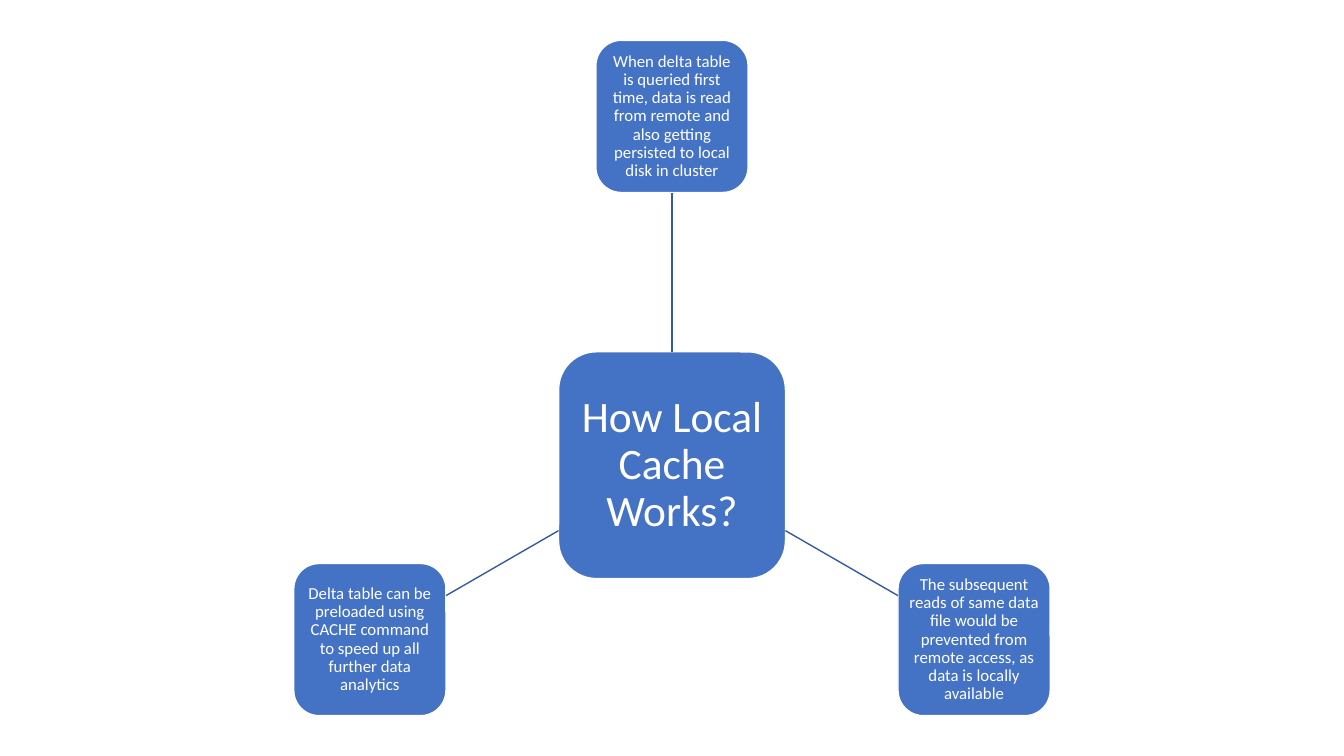
"""Build a radial slide: a central question with three answers around it."""
import math

import lxml.etree
import pptx
import pptx.dml.color
import pptx.enum.shapes
import pptx.enum.text
import pptx.oxml.ns
import pptx.util

WIDTH, HEIGHT = 13.33, 7.5
CENTER_X, CENTER_Y = WIDTH / 2, 4.615
HUB_SIZE, NODE_SIZE, ORBIT = 2.25, 1.51, 3.46

ANSWERS = [
    (-90, "When delta table is queried first time, data is read from remote and "
          "also getting persisted to local disk in cluster"),
    (30, "The subsequent reads of same data file would be prevented from remote "
         "access, as data is locally available"),
    (150, "Delta table can be preloaded using CACHE command to speed up all "
          "further data analytics"),
]


def color(value):
    return pptx.dml.color.RGBColor.from_string(value)


def add_box(slide, center_x, center_y, size, text, font_size, margin):
    shape = slide.shapes.add_shape(
        pptx.enum.shapes.MSO_SHAPE.ROUNDED_RECTANGLE,
        pptx.util.Inches(center_x - size / 2), pptx.util.Inches(center_y - size / 2),
        pptx.util.Inches(size), pptx.util.Inches(size))
    shape.shadow.inherit = False
    shape.fill.solid()
    shape.fill.fore_color.rgb = color("4472C4")
    shape.line.color.rgb = color("FFFFFF")
    shape.line.width = pptx.util.Pt(1)
    frame = shape.text_frame
    frame.word_wrap = True
    frame.vertical_anchor = pptx.enum.text.MSO_ANCHOR.MIDDLE
    frame.margin_left = frame.margin_right = pptx.util.Inches(margin)
    frame.margin_top = frame.margin_bottom = pptx.util.Inches(margin)
    frame.text = text
    paragraph = frame.paragraphs[0]
    paragraph.alignment = pptx.enum.text.PP_ALIGN.CENTER
    paragraph.line_spacing = 0.9
    font = paragraph.runs[0].font
    font.name = "Calibri"
    font.size = pptx.util.Pt(font_size)
    font.color.rgb = color("FFFFFF")
    return shape


presentation = pptx.Presentation()
presentation.slide_width = pptx.util.Inches(WIDTH)
presentation.slide_height = pptx.util.Inches(HEIGHT)
slide = presentation.slides.add_slide(presentation.slide_layouts[6])

hub = add_box(slide, CENTER_X, CENTER_Y, HUB_SIZE, "How Local Cache Works?", 31, 0.09)

for angle, answer in ANSWERS:
    across, down = math.cos(math.radians(angle)), math.sin(math.radians(angle))
    node = add_box(slide, CENTER_X + ORBIT * across, CENTER_Y + ORBIT * down,
                   NODE_SIZE, answer, 12, 0.03)

    reach = max(abs(across), abs(down))
    start = HUB_SIZE / 2 / reach
    end = ORBIT - NODE_SIZE / 2 / reach
    spoke = slide.shapes.add_connector(
        pptx.enum.shapes.MSO_CONNECTOR.STRAIGHT,
        pptx.util.Inches(CENTER_X + start * across), pptx.util.Inches(CENTER_Y + start * down),
        pptx.util.Inches(CENTER_X + end * across), pptx.util.Inches(CENTER_Y + end * down))
    spoke.line.color.rgb = color("365B9D")
    spoke.line.width = pptx.util.Pt(1)
    lxml.etree.SubElement(spoke._element.spPr, pptx.oxml.ns.qn("a:effectLst"))
    if angle == -90:
        spoke.begin_connect(hub, 0)
        spoke.end_connect(node, 2)

presentation.save("out.pptx")
